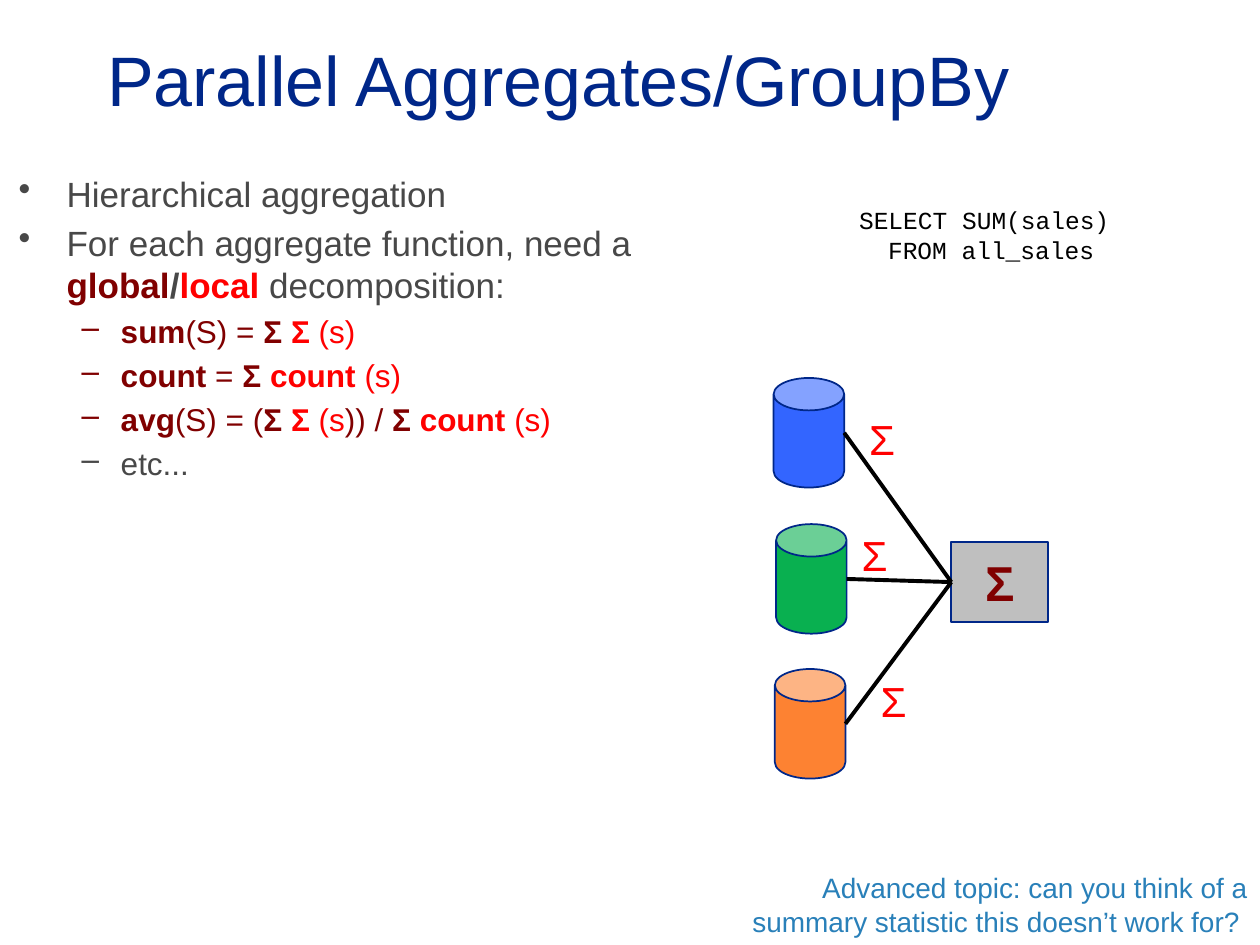
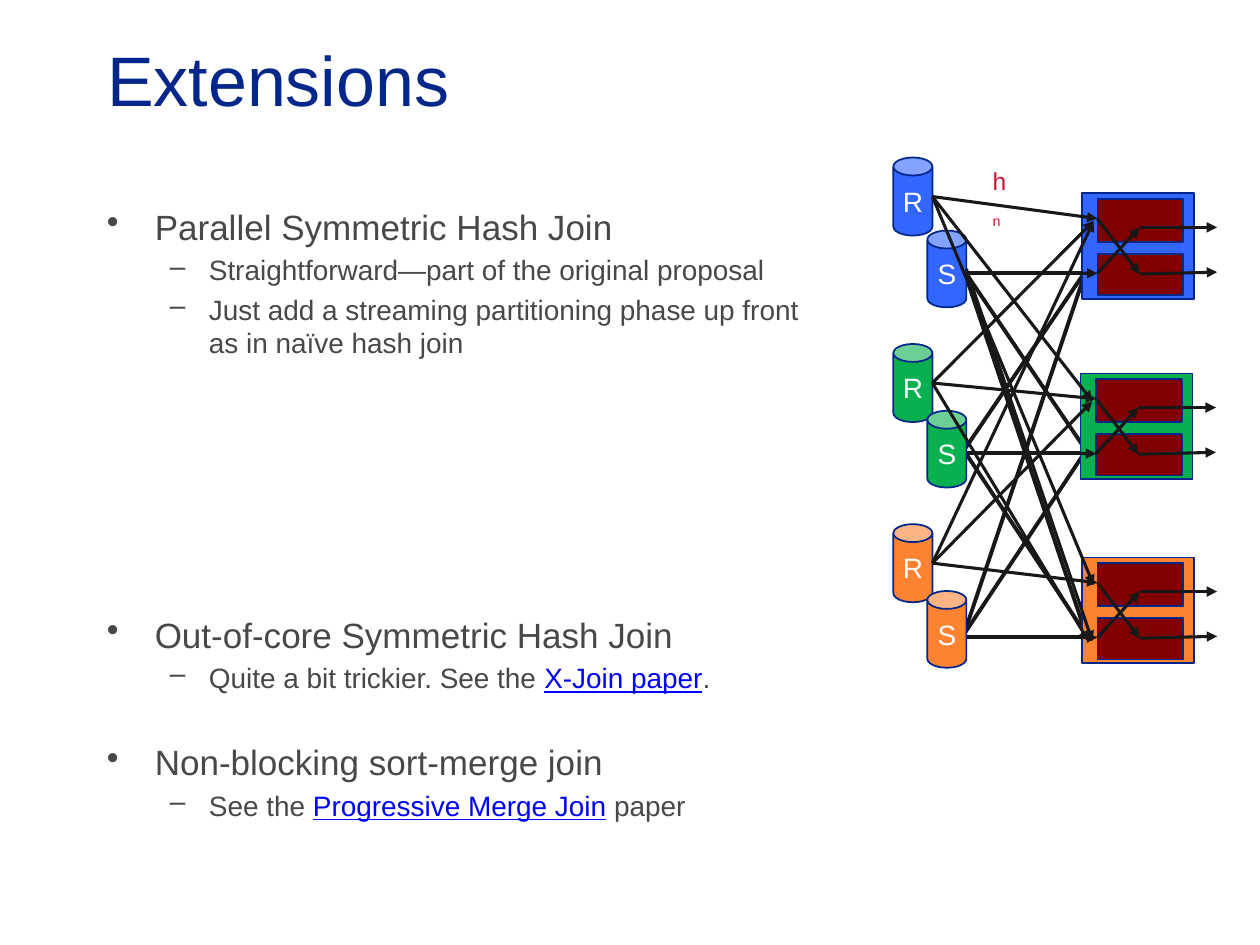
from dataclasses import dataclass
from itertools import permutations
from typing import NamedTuple

from lxml.etree import SubElement
from pptx import Presentation
from pptx.dml.color import RGBColor
from pptx.enum.shapes import MSO_CONNECTOR, MSO_SHAPE
from pptx.enum.text import MSO_ANCHOR, MSO_AUTO_SIZE, PP_ALIGN
from pptx.oxml.ns import qn
from pptx.util import Inches, Pt

NAVY = RGBColor(0x00, 0x27, 0x89)
GREY = RGBColor(0x48, 0x48, 0x48)
MAROON = RGBColor(0x80, 0x00, 0x00)
RED = RGBColor(0xFF, 0x00, 0x00)
CRIMSON = RGBColor(0xCF, 0x0E, 0x30)
SKY = RGBColor(0x29, 0x80, 0xB9)
LINK = RGBColor(0x00, 0x00, 0xFF)
BLUE = RGBColor(0x33, 0x65, 0xFF)
GREEN = RGBColor(0x09, 0xB0, 0x50)
ORANGE = RGBColor(0xFD, 0x82, 0x32)
SILVER = RGBColor(0xBF, 0xBF, 0xBF)
BLACK = RGBColor(0x00, 0x00, 0x00)
INK = RGBColor(0x18, 0x18, 0x18)
WHITE = RGBColor(0xFF, 0xFF, 0xFF)

SANS, MONO = "Arial", "Courier New"
SLIDE_W, SLIDE_H = Inches(10), Inches(7.5)
COL, ROW = SLIDE_W / 100, SLIDE_H / 75


class Point(NamedTuple):
    col: float
    row: float


class Area(NamedTuple):
    col: float
    row: float
    cols: float
    rows: float

    def emu(self) -> tuple:
        return (round(self.col * COL), round(self.row * ROW),
                round(self.cols * COL), round(self.rows * ROW))

    def right_middle(self) -> Point:
        return Point(self.col + self.cols, self.row + self.rows / 2)


class Span(NamedTuple):
    text: str
    color: RGBColor = GREY
    bold: bool = False
    underline: bool = False


@dataclass
class Item:
    spans: list
    size: float
    level: int = 0
    gap: float = 0


@dataclass
class Bullet:
    mark: str
    margin: float
    hang: float


@dataclass
class Node:
    tone: RGBColor
    r_store: Area
    s_store: Area
    box: Area

    def port(self, col: float, row: float) -> Point:
        return Point(self.box.col + col, self.box.row + row)


BULLETS = (Bullet("•", 0.38, 0.38), Bullet("–", 0.81, 0.31))


def add_span(paragraph, span: Span, size: float, font: str = SANS):
    for index, piece in enumerate(span.text.split("\n")):
        if index:
            paragraph.add_line_break()
        if piece:
            run = paragraph.add_run()
            run.text = piece
            run.font.name, run.font.size = font, Pt(size)
            run.font.color.rgb = span.color
            run.font.bold, run.font.underline = span.bold, span.underline
    return paragraph


def add_titled_slide(deck, heading: str):
    slide = deck.slides.add_slide(deck.slide_layouts[5])
    title = slide.shapes.title
    title.left, title.top, title.width, title.height = Area(7.5, 0, 85, 12.5).emu()
    frame = title.text_frame
    frame.auto_size, frame.word_wrap = MSO_AUTO_SIZE.NONE, True
    frame.vertical_anchor = MSO_ANCHOR.MIDDLE
    frame.paragraphs[0].alignment = PP_ALIGN.LEFT
    add_span(frame.paragraphs[0], Span(heading, NAVY), 40)
    return slide


def add_text(slide, area: Area, wrap: bool = True):
    frame = slide.shapes.add_textbox(*area.emu()).text_frame
    frame.word_wrap = wrap
    return frame


def add_outline(slide, area: Area, items: list) -> None:
    frame = add_text(slide, area)
    for index, item in enumerate(items):
        paragraph = frame.add_paragraph() if index else frame.paragraphs[0]
        paragraph.space_before = Pt(item.size * 0.2 + item.gap)
        bullet = BULLETS[item.level]
        props = paragraph._p.get_or_add_pPr()
        props.set("marL", str(Inches(bullet.margin)))
        props.set("indent", str(-Inches(bullet.hang)))
        SubElement(props, qn("a:buChar")).set("char", bullet.mark)
        for span in item.spans:
            add_span(paragraph, span, item.size)


def add_block(slide, kind, area: Area, tone: RGBColor,
              label: Span | None = None, size: float = 16) -> None:
    block = slide.shapes.add_shape(kind, *area.emu())
    block.shadow.inherit = False
    block.fill.solid()
    block.fill.fore_color.rgb = tone
    block.line.color.rgb, block.line.width = NAVY, Pt(1)
    if kind == MSO_SHAPE.CAN:
        block.adjustments[0] = 0.46
    if label:
        frame = block.text_frame
        frame.word_wrap, frame.vertical_anchor = False, MSO_ANCHOR.MIDDLE
        frame.paragraphs[0].alignment = PP_ALIGN.CENTER
        add_span(frame.paragraphs[0], label, size)


def add_link(slide, start: Point, end: Point, color: RGBColor = INK,
             width: float = 2.25, arrow: bool = False) -> None:
    link = slide.shapes.add_connector(
        MSO_CONNECTOR.STRAIGHT, round(start.col * COL), round(start.row * ROW),
        round(end.col * COL), round(end.row * ROW))
    link.line.color.rgb, link.line.width = color, Pt(width)
    if arrow:
        SubElement(link.line._get_or_add_ln(), qn("a:tailEnd")).set("type", "triangle")
    SubElement(link._element.spPr, qn("a:effectLst"))


def add_arrow(slide, start: Point, end: Point) -> None:
    add_link(slide, start, end, width=1.75, arrow=True)


def build_aggregates(deck) -> None:
    slide = add_titled_slide(deck, "Parallel Aggregates/GroupBy")
    global_sum, local_sum = Span("Σ ", MAROON, True), Span("Σ ", RED, True)
    local_count, local_arg = Span("count ", RED, True), Span("(s)", RED)
    add_outline(slide, Area(0.5, 13.2, 57.9, 44.6), [
        Item([Span("Hierarchical aggregation")], 20),
        Item([Span("For each aggregate function, need a \n"),
              Span("global", MAROON, True), Span("/", GREY, True),
              Span("local ", RED, True), Span("decomposition:")], 20),
        Item([Span("sum", MAROON, True), Span("(S) = ", MAROON),
              global_sum, local_sum, local_arg], 18, 1),
        Item([Span("count ", MAROON, True), Span("= ", MAROON),
              global_sum, local_count, local_arg], 18, 1),
        Item([Span("avg", MAROON, True), Span("(S) = (", MAROON),
              global_sum, local_sum, Span("(s", RED), Span(")) / ", MAROON),
              global_sum, local_count, local_arg], 18, 1),
        Item([Span("etc...")], 18, 1),
    ])

    question = add_text(slide, Area(55.3, 68.6, 44.7, 6.4)).paragraphs[0]
    question.alignment = PP_ALIGN.RIGHT
    add_span(question, Span("Advanced topic: can you think of a summary statistic "
                            "this doesn’t work for? ", SKY), 16)

    query = add_text(slide, Area(67.2, 15.8, 24, 5.7))
    add_span(query.paragraphs[0], Span("SELECT SUM(sales)", BLACK), 14, MONO)
    from_clause = add_span(query.add_paragraph(), Span("FROM all_sales", BLACK), 14, MONO)
    from_clause._p.get_or_add_pPr().set("marL", str(Inches(0.23)))

    stores = {
        BLUE: (Area(61.4, 30, 5.6, 8.7), Point(68, 32.3)),
        GREEN: (Area(61.6, 41.6, 5.6, 8.7), Point(67.4, 41.5)),
        ORANGE: (Area(61.5, 53.1, 5.6, 8.7), Point(68.9, 53.1)),
    }
    collector = Area(75.5, 43, 7.7, 6.4)
    for tone, (store, _) in stores.items():
        add_block(slide, MSO_SHAPE.CAN, store, tone)
    add_block(slide, MSO_SHAPE.RECTANGLE, collector, SILVER, Span("Σ", MAROON, True), 28)
    for store, label in stores.values():
        add_link(slide, store.right_middle(), Point(collector.col, 46.2), BLACK)
        local = add_text(slide, Area(*label, 4, 5), wrap=False)
        add_span(local.paragraphs[0], Span("Σ", RED), 24)


def build_extensions(deck) -> None:
    slide = add_titled_slide(deck, "Extensions")
    add_outline(slide, Area(7.5, 15.8, 80.8, 55.8), [
        Item([Span("Parallel Symmetric Hash Join")], 20),
        Item([Span("Straightforward—part of the original proposal")], 16, 1),
        Item([Span("Just add a streaming partitioning phase up front \n"
                   "as in naïve hash join")], 16, 1),
        Item([Span("Out-of-core Symmetric Hash Join")], 20, gap=141),
        Item([Span("Quite a bit trickier. See the "),
              Span("X-Join paper", LINK, underline=True), Span(".")], 16, 1),
        Item([Span("Non-blocking sort-merge join")], 20, gap=22.6),
        Item([Span("See the "), Span("Progressive Merge Join", LINK, underline=True),
              Span(" paper")], 16, 1),
    ])

    nodes = [
        Node(tone, Area(70.9, r_row, 3.1, 6.2), Area(73.6, s_row, 3.1, 6.1),
             Area(box_col, box_row, 8.9, 8.4))
        for tone, r_row, s_row, box_col, box_row in (
            (BLUE, 12.5, 18.3, 85.85, 15.35),
            (GREEN, 27.3, 32.6, 85.75, 29.65),
            (ORANGE, 41.6, 46.9, 85.85, 44.25))
    ]
    first, second, third = nodes

    for node in nodes:
        add_block(slide, MSO_SHAPE.CAN, node.r_store, node.tone, Span("R", WHITE))
    hash_label = add_text(slide, Area(77.8, 12.7, 3.5, 3.1)).paragraphs[0]
    add_span(hash_label, Span("h", CRIMSON), 14)
    add_span(hash_label, Span("n", CRIMSON), 14)
    hash_label.runs[-1].font._element.set("baseline", "-25000")

    for node in nodes:
        lane = node.box.row + 6.3
        add_link(slide, Point(75.8, lane), Point(86.6, lane))
    for source, target in permutations(nodes, 2):
        add_link(slide, Point(76.5, source.box.row + 6.1),
                 Point(86.2, target.box.row + 6.1))
    for node in nodes:
        add_block(slide, MSO_SHAPE.CAN, node.s_store, node.tone, Span("S", WHITE))

    for node in nodes:
        add_block(slide, MSO_SHAPE.RECTANGLE, node.box, node.tone)
        for row, rows in ((0.45, 3.4), (4.8, 3.3)):
            add_block(slide, MSO_SHAPE.RECTANGLE,
                      Area(*node.port(1.25, row), 6.8, rows), MAROON)
        r_in, s_in = node.port(1.25, 2), node.port(1.25, 6.35)
        upper, lower = node.port(4.6, 2.7), node.port(4.6, 6.4)
        for start, end in (
                (node.r_store.right_middle(), r_in),
                (s_in, upper),
                (lower, node.port(10.75, 6.25)),
                (node.port(-4.15, 6.3), s_in),
                (r_in, lower),
                (upper, node.port(10.75, 2.7))):
            add_arrow(slide, start, end)

    for source, target in permutations(nodes, 2):
        end = target.port(0.95, 2.2)
        if (source, target) == (second, third):
            end = target.port(0.55, 6.65)
        add_arrow(slide, source.r_store.right_middle(), end)
    add_arrow(slide, first.s_store.right_middle(), third.port(0.85, 6.65))


def main() -> None:
    deck = Presentation()
    deck.slide_width, deck.slide_height = SLIDE_W, SLIDE_H
    build_aggregates(deck)
    build_extensions(deck)
    deck.save("out.pptx")


if __name__ == "__main__":
    main()
